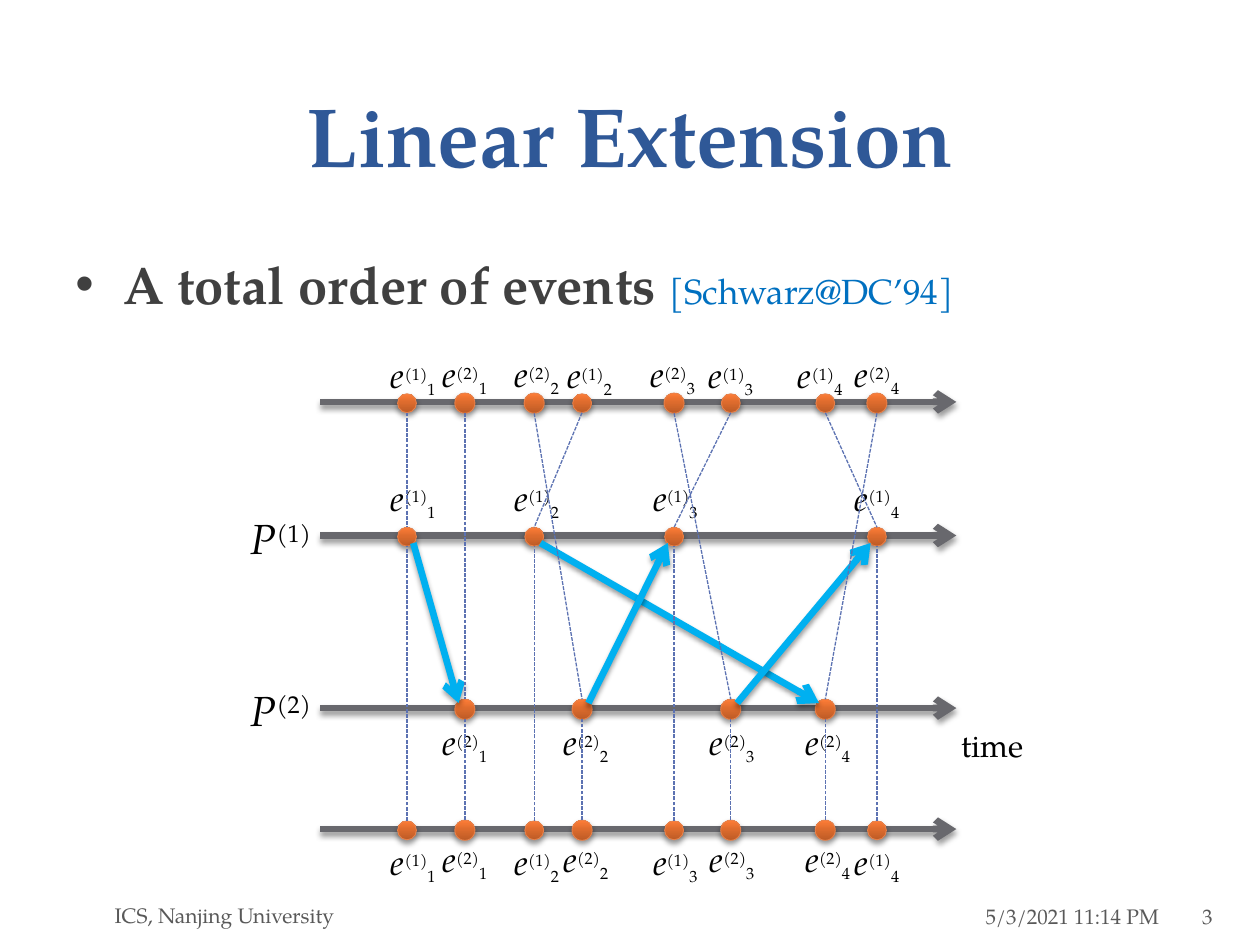
import copy

import lxml.etree
import pptx
import pptx.dml.color
import pptx.enum.dml
import pptx.enum.shapes
import pptx.enum.text
import pptx.oxml.ns
import pptx.util

Inches, Pt = pptx.util.Inches, pptx.util.Pt
qn = pptx.oxml.ns.qn
ALIGN = pptx.enum.text.PP_ALIGN
ANCHOR = pptx.enum.text.MSO_ANCHOR

FONT = "TeX Gyre Pagella"
COLORS = {
    "title": "2F5897", "body": "404040", "cite": "0070C0", "foot": "595959",
    "text": "000000", "axis": "68686D", "send": "00B0F0", "dash": "5C72B2",
    "rim": "E7824C",
}
GRADE = [(0, "BC5B26"), (0.55, "DD6B2D"), (1, "FF7D37")]

# Events are (process, number); each time slot holds one event
SLOTS = [3.23, 3.69, 4.24, 4.62, 5.35, 5.8, 6.55, 6.96]
ORDER = [(1, 1), (2, 1), (1, 2), (2, 2), (1, 3), (2, 3), (2, 4), (1, 4)]
SWAP = [(1, 1), (2, 1), (2, 2), (1, 2), (2, 3), (1, 3), (1, 4), (2, 4)]
MIDS = [3.28, 3.69, 4.26, 4.65, 5.36, 5.81, 6.57, 6.96]
SWAP_MIDS = [3.28, 3.69, 4.26, 4.68, 5.34, 5.8, 6.51, 6.96]

# Rows: height of the axis, events in slot order, label centres, label top by process
ROWS = {
    "top": (3.2, SWAP, SWAP_MIDS, {1: 2.76, 2: 2.75}),
    "P1": (4.26, [e if e[0] == 1 else None for e in ORDER], MIDS, {1: 3.73}),
    "P2": (5.63, [e if e[0] == 2 else None for e in ORDER], MIDS, {2: 5.67}),
    "low": (6.59, ORDER, MIDS, {1: 6.62, 2: 6.6}),
}
SENDS = [((1, 1), (2, 1)), ((1, 2), (2, 4)), ((2, 2), (1, 3)), ((2, 3), (1, 4))]
AXIS = (2.54, 7.59)
SIZE = {1: 0.15, 2: 0.16}

prs = pptx.Presentation()
prs.slide_width, prs.slide_height = Inches(10), Inches(7.5)
slide = prs.slides.add_slide(prs.slide_layouts[6])


def rgb(key):
    return pptx.dml.color.RGBColor.from_string(COLORS.get(key, key))


def effect(shape, shade):
    props = shape._element.spPr
    fx = props.find(qn("a:effectLst"))
    if fx is None:
        fx = lxml.etree.SubElement(props, qn("a:effectLst"))
    if shade:
        drop = lxml.etree.SubElement(
            fx, qn("a:outerShdw"), blurRad=str(Pt(3.1)), dist=str(Pt(2)),
            dir="5400000", rotWithShape="0")
        tint = lxml.etree.SubElement(drop, qn("a:srgbClr"), val=COLORS["text"])
        lxml.etree.SubElement(tint, qn("a:alpha"), val="38000")


def line(start, end, color, arrow=True):
    link = slide.shapes.add_connector(
        pptx.enum.shapes.MSO_CONNECTOR.STRAIGHT, *map(Inches, start + end))
    link.line.color.rgb = rgb(color)
    link.line.width = Pt(3.82 if arrow else 0.75)
    if arrow:
        lxml.etree.SubElement(link.line._get_or_add_ln(), qn("a:tailEnd"), type="arrow")
    else:
        link.line.dash_style = pptx.enum.dml.MSO_LINE.SQUARE_DOT
    effect(link, arrow)


def dot(x, y, size):
    ball = slide.shapes.add_shape(
        pptx.enum.shapes.MSO_SHAPE.FLOWCHART_CONNECTOR,
        *map(Inches, (x - size / 2, y - size / 2, size, size)))
    ball.shadow.inherit = False
    ball.fill.gradient()
    ball.fill.gradient_angle = 90
    stops = ball._element.spPr.find(".//" + qn("a:gsLst"))
    stops.append(copy.deepcopy(stops[-1]))
    for stop, (place, color) in zip(ball.fill.gradient_stops, GRADE):
        stop.position = place
        stop.color.rgb = rgb(color)
    ball.line.color.rgb = rgb("rim")
    ball.line.width = Pt(0.5)
    effect(ball, True)


def text(box, runs, size, color="text", align=ALIGN.LEFT, anchor=ANCHOR.TOP,
         wrap=True, bold=None, bullet=False, pads=None):
    """Each run is (words, settings); settings may hold size, italic, base, color, bold."""
    frame = slide.shapes.add_textbox(*map(Inches, box)).text_frame
    frame.word_wrap = wrap
    frame.vertical_anchor = anchor
    if pads:
        frame.margin_left, frame.margin_right = map(Inches, pads)
    para = frame.paragraphs[0]
    para.alignment = align
    if bullet:
        props = para._p.get_or_add_pPr()
        props.set("marL", str(Inches(0.38)))
        props.set("indent", str(Inches(-0.38)))
        lxml.etree.SubElement(props, qn("a:buFont"), typeface="Arial")
        lxml.etree.SubElement(props, qn("a:buChar"), char="•")
    para.font.name = FONT
    para.font.size = Pt(size)
    para.font.color.rgb = rgb(color)
    para.font.bold = bold
    for words, opts in runs:
        run = para.add_run()
        run.text = words
        if "size" in opts:
            run.font.size = Pt(opts["size"])
        if "color" in opts:
            run.font.color.rgb = rgb(opts["color"])
        run.font.bold = opts.get("bold")
        run.font.italic = opts.get("italic")
        if "base" in opts:
            run.font._element.set("baseline", str(opts["base"] * 1000))
    return para


# Title and body
head = text((0.5, 0.36, 9, 1.15), [("Linear Extension", {})], 48, "title",
            ALIGN.CENTER, ANCHOR.BOTTOM, bold=True)
head.line_spacing = Pt(58)
text((0.5, 1.95, 9, 4.95),
     [("A total order of events ", {"bold": True}),
      ("[Schwarz@DC’94]", {"size": 20, "color": "cite", "bold": False})],
     30, "body", bullet=True)

# Axes, dots and event labels
spots = {}
for row, (y, events, mids, tops) in ROWS.items():
    line((AXIS[0], y - 0.01), (AXIS[1], y - 0.01), "axis")
    for x, event, mid in zip(SLOTS, events, mids):
        if event is None:
            continue
        proc, num = event
        spots[row, event] = (x, y)
        dot(x, y, SIZE[proc])
        text((mid - 0.28, tops[proc], 0.56, 0.44),
             [("e", {"italic": True}), (f"({proc})", {"size": 16, "base": 30}),
              (str(num), {"size": 16, "base": -25})],
             20, align=ALIGN.CENTER, wrap=False)

# Process names and time
for proc, y in ((1, 4.02), (2, 5.38)):
    text((1.76, y, 0.94, 0.5), [("P", {"italic": True}), (f"({proc})", {"base": 30})],
         24, align=ALIGN.CENTER)
text((7.42, 5.71, 0.91, 0.4), [("time", {})], 18, align=ALIGN.CENTER)

# Messages leave and reach the dots on their slanted sides
for sent, got in SENDS:
    (ax, ay), (bx, by) = (spots[f"P{e[0]}", e] for e in (sent, got))
    dy = 0.05 if by > ay else -0.05
    line((ax + 0.05, ay + dy), (bx - 0.05, by - dy), "send")

# Dashed links from each process event to both total orders
for event in ORDER:
    x, y = spots[f"P{event[0]}", event]
    for row, side in (("top", -1), ("low", 1)):
        ex, ey = spots[row, event]
        gap = side * SIZE[event[0]] / 2
        line((ex, ey - gap), (x, y + gap), "dash", arrow=False)

# Footer
for box, words, align, pads in (
        ((0.86, 7.06, 4.45, 0.4), "ICS, Nanjing University", ALIGN.LEFT, (0.05, 0.1)),
        ((6.97, 7.07, 2.28, 0.4), "5/3/2021 11:14 PM", ALIGN.RIGHT, (0.1, 0.05)),
        ((9.51, 7.07, 0.45, 0.4), "3", ALIGN.LEFT, (0.03, 0.05))):
    text(box, [(words, {})], 12, "foot", align, ANCHOR.MIDDLE, pads=pads)

prs.save("out.pptx")
